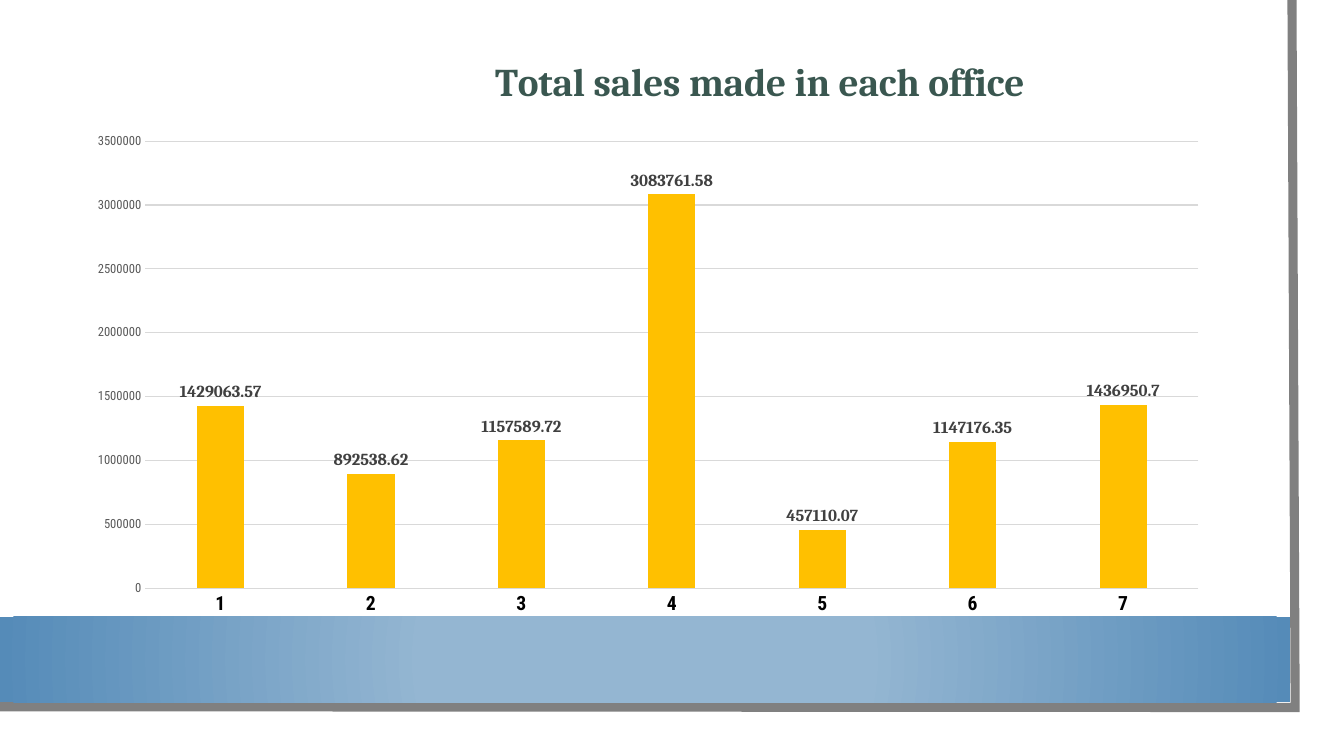
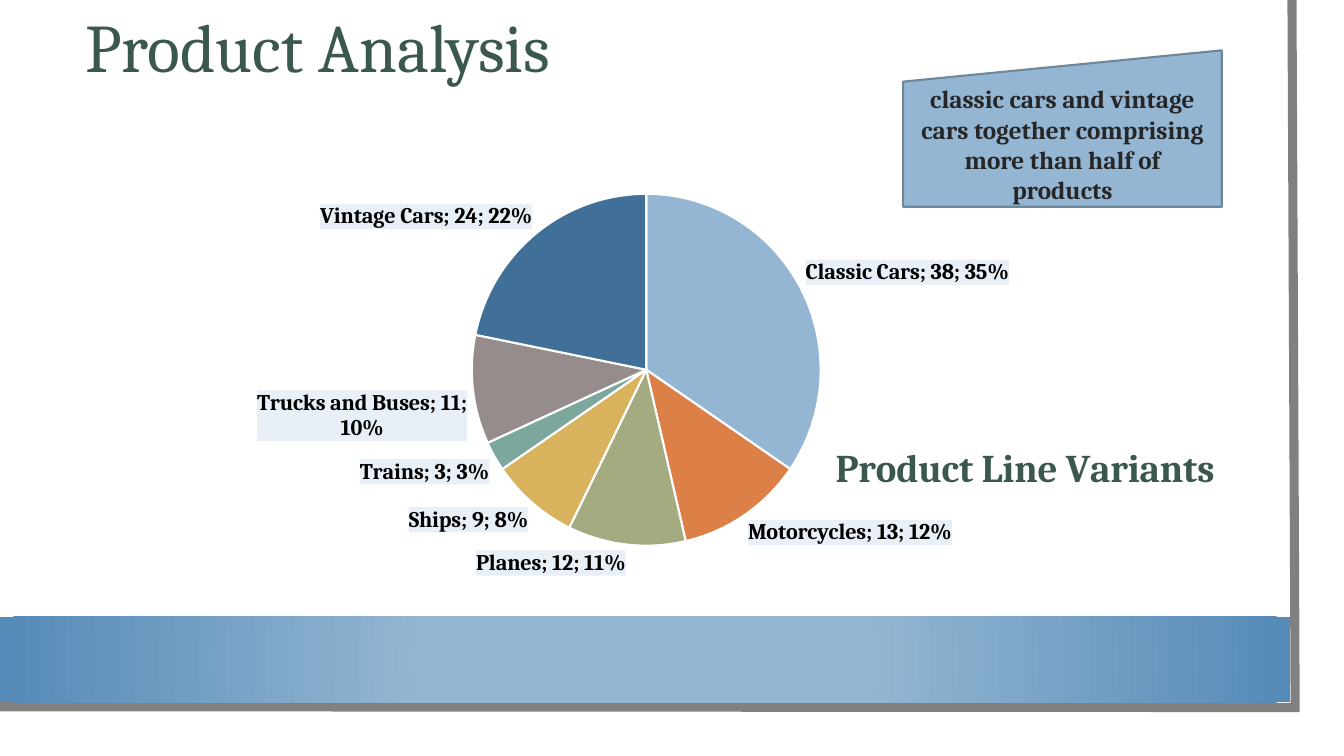
from pptx import Presentation
from pptx.chart.data import CategoryChartData
from pptx.dml.color import RGBColor
from pptx.enum.chart import XL_CHART_TYPE as ChartType
from pptx.enum.chart import XL_LABEL_POSITION as LabelPosition
from pptx.enum.chart import XL_TICK_MARK as TickMark
from pptx.enum.shapes import MSO_SHAPE as Preset
from pptx.enum.text import MSO_ANCHOR as Anchor
from pptx.enum.text import PP_ALIGN as Align
from pptx.oxml import parse_xml
from pptx.oxml.ns import nsdecls, qn
from pptx.util import Cm, Pt

SERIF = "Cambria"
SANS = "Roboto Condensed"
GREEN = "3A5750"
SKY = "94B6D2"
DEEP_SKY = "558BB8"
GRID = "D9D9D9"
AMBER = "FFC000"
LABEL_BACK = "E9EFF7"
SLICE_COLOURS = [SKY, "DD8047", "A5AB81", "D8B25C", "7BA79D", "968C8C", "407097"]
LEFT, CONTENT_WIDTH = 1.9, 28.88

OFFICE_SALES = {
    "1": 1429063.57, "2": 892538.62, "3": 1157589.72, "4": 3083761.58,
    "5": 457110.07, "6": 1147176.35, "7": 1436950.7,
}
PRODUCT_LINES = {
    "Classic Cars": 38, "Motorcycles": 13, "Planes": 12, "Ships": 9,
    "Trains": 3, "Trucks and Buses": 11, "Vintage Cars": 24,
}


def rgb(value):
    """Turn a hex string into a colour."""
    return RGBColor.from_string(value)


def style_font(font, face, size, colour, bold=False):
    """Set the face, size, colour and weight of a font."""
    font.name, font.size, font.bold = face, Pt(size), bold
    font.color.rgb = rgb(colour)


def paint(part, colour):
    """Fill a shape or chart part with one colour."""
    part.fill.solid()
    part.fill.fore_color.rgb = rgb(colour)


def outline(line, colour, width):
    """Give a line its colour and width."""
    line.color.rgb = rgb(colour)
    line.width = Pt(width)


def write(frame, text, face, size, colour, bold=False):
    """Write one run into the first paragraph and return that paragraph."""
    paragraph = frame.paragraphs[0]
    run = paragraph.add_run()
    run.text = text
    style_font(run.font, face, size, colour, bold)
    return paragraph


def add_block(slide, preset, left, top, width, height):
    """Add a preset shape without shadow, placed in centimetres."""
    block = slide.shapes.add_shape(preset, Cm(left), Cm(top), Cm(width), Cm(height))
    block.shadow.inherit = False
    return block


def add_frame(slide):
    """Draw the page panel, its grey edge and the blue band."""
    page = add_block(slide, Preset.RECTANGLE, 0, 0, 33.27, 18.47)
    paint(page, "FFFFFF")
    page.line.fill.background()

    pen = slide.shapes.build_freeform(Cm(32.56), Cm(0))
    pen.add_line_segments([(Cm(32.64), Cm(17.83)), (Cm(-0.08), Cm(17.81))], close=False)
    edge = pen.convert_to_shape()
    edge.shadow.inherit = False
    edge.fill.background()
    outline(edge.line, "808080", 6.5)
    edge.line.fill
    stroke = edge.element.spPr.find(qn("a:ln"))
    stroke.append(parse_xml(f'<a:miter {nsdecls("a")} lim="800000"/>'))

    band = add_block(slide, Preset.RECTANGLE, 0, 15.54, 32.51, 2.16)
    band.line.fill.background()
    band.element.spPr.insert(2, parse_xml(
        f'<a:gradFill {nsdecls("a")} rotWithShape="1"><a:gsLst>'
        f'<a:gs pos="34000"><a:srgbClr val="{SKY}"/></a:gs>'
        f'<a:gs pos="100000"><a:srgbClr val="{DEEP_SKY}"/></a:gs></a:gsLst>'
        '<a:path path="circle"><a:fillToRect l="50000" t="50000" r="50000" b="50000"/>'
        '</a:path></a:gradFill>'))


def add_heading(slide, text):
    """Add the slide heading."""
    box = slide.shapes.add_textbox(Cm(LEFT), Cm(0.36), Cm(CONTENT_WIDTH), Cm(1.8))
    frame = box.text_frame
    frame.word_wrap = True
    frame.vertical_anchor = Anchor.MIDDLE
    write(frame, text, SERIF, 48.6, GREEN).line_spacing = 0.9


def place(part, index, **fractions):
    """Fix a chart part by fractions of the chart area."""
    for old in part.findall(qn("c:layout")):
        part.remove(old)
    target = '<c:layoutTarget val="inner"/>' if "w" in fractions else ""
    modes = "".join(f'<c:{axis}Mode val="edge"/>' for axis in "xy")
    values = "".join(f'<c:{key} val="{value}"/>' for key, value in fractions.items())
    part.insert(index, parse_xml(
        f'<c:layout {nsdecls("c")}><c:manualLayout>{target}{modes}{values}'
        '</c:manualLayout></c:layout>'))


def add_titled_chart(slide, kind, figures, top, height, title, title_at, plot_at):
    """Add a one-series chart with a placed title and plot area."""
    data = CategoryChartData()
    data.categories = list(figures)
    data.add_series("Series 1", list(figures.values()))
    chart = slide.shapes.add_chart(
        kind, Cm(LEFT), Cm(top), Cm(CONTENT_WIDTH), Cm(height), data).chart
    style_font(chart.font, SANS, 10, "000000")
    chart.has_legend = False
    chart.has_title = True
    write(chart.chart_title.text_frame, title, SERIF, 28, GREEN, True)
    place(chart.chart_title.element, 1, **title_at)
    place(chart.element.find(".//" + qn("c:plotArea")), 0, **plot_at)
    return chart


def label_values(chart, size, colour):
    """Show bold values at the outer end of each point."""
    labels = chart.plots[0].series[0].data_labels
    style_font(labels.font, SERIF, size, colour, True)
    labels.show_value = True
    labels.position = LabelPosition.OUTSIDE_END
    return labels


def add_sales_chart(slide):
    """Add the column chart of sales by office."""
    chart = add_titled_chart(
        slide, ChartType.COLUMN_CLUSTERED, OFFICE_SALES, 0.97, 14.88,
        "Total sales made in each office", dict(x=0.36, y=0.02),
        dict(x=0.061, y=0.174, w=0.919, h=0.757))
    plot = chart.plots[0]
    plot.vary_by_categories = False
    plot.gap_width, plot.overlap = 219, -27
    paint(plot.series[0].format, AMBER)
    label_values(chart, 12, "404040")

    offices, sales = chart.category_axis, chart.value_axis
    for axis in (offices, sales):
        axis.major_tick_mark = axis.minor_tick_mark = TickMark.NONE
    style_font(offices.tick_labels.font, SANS, 14, "000000", True)
    outline(offices.format.line, GRID, 0.75)
    style_font(sales.tick_labels.font, SANS, 9, "595959")
    sales.format.line.fill.background()
    sales.minimum_scale, sales.maximum_scale, sales.major_unit = 0, 3500000, 500000
    outline(sales.major_gridlines.format.line, GRID, 0.75)


def add_product_pie(slide):
    """Add the pie chart of product lines."""
    chart = add_titled_chart(
        slide, ChartType.PIE, PRODUCT_LINES, 2.18, 12.75,
        "Product Line Variants", dict(x=0.663, y=0.69),
        dict(x=0.349, y=0.21, w=0.307, h=0.7))
    plot = chart.plots[0]
    plot.vary_by_categories = True
    for index, colour in enumerate(SLICE_COLOURS):
        wedge = plot.series[0].points[index].format
        paint(wedge, colour)
        outline(wedge.line, "FFFFFF", 1.5)

    labels = label_values(chart, 16, "000000")
    labels.show_category_name = labels.show_percentage = True
    settings = chart.element.find(f'.//{qn("c:ser")}/{qn("c:dLbls")}')
    settings.find(qn("c:txPr")).addprevious(parse_xml(
        f'<c:spPr {nsdecls("c", "a")}><a:solidFill><a:srgbClr val="{LABEL_BACK}"/>'
        '</a:solidFill></c:spPr>'))
    settings.find(qn("c:showPercent")).getparent()
    last_switch = [child for child in settings if child.tag in
                   (qn("c:showPercent"), qn("c:showBubbleSize"))][-1]
    last_switch.addnext(parse_xml(f'<c:separator {nsdecls("c")}>; </c:separator>'))


def add_callout(slide, text):
    """Add the slanted remark beside the pie."""
    remark = add_block(slide, Preset.FLOWCHART_MANUAL_INPUT, 22.76, 1.27, 8.03, 3.94)
    paint(remark, SKY)
    outline(remark.line, "6D879B", 1.5)
    frame = remark.text_frame
    frame.word_wrap = True
    frame.vertical_anchor = Anchor.MIDDLE
    write(frame, text, SERIF, 18, "262626", True).alignment = Align.CENTER


def add_page(deck):
    """Add a blank slide with the shared frame."""
    slide = deck.slides.add_slide(deck.slide_layouts[6])
    add_frame(slide)
    return slide


def main():
    """Build both slides and save them."""
    deck = Presentation()
    deck.slide_width, deck.slide_height = Cm(33.87), Cm(19.05)

    add_sales_chart(add_page(deck))

    products = add_page(deck)
    add_heading(products, "Product Analysis")
    add_product_pie(products)
    add_callout(products, "classic cars and vintage cars together comprising "
                          "more than half of products")

    deck.save("out.pptx")


if __name__ == "__main__":
    main()
